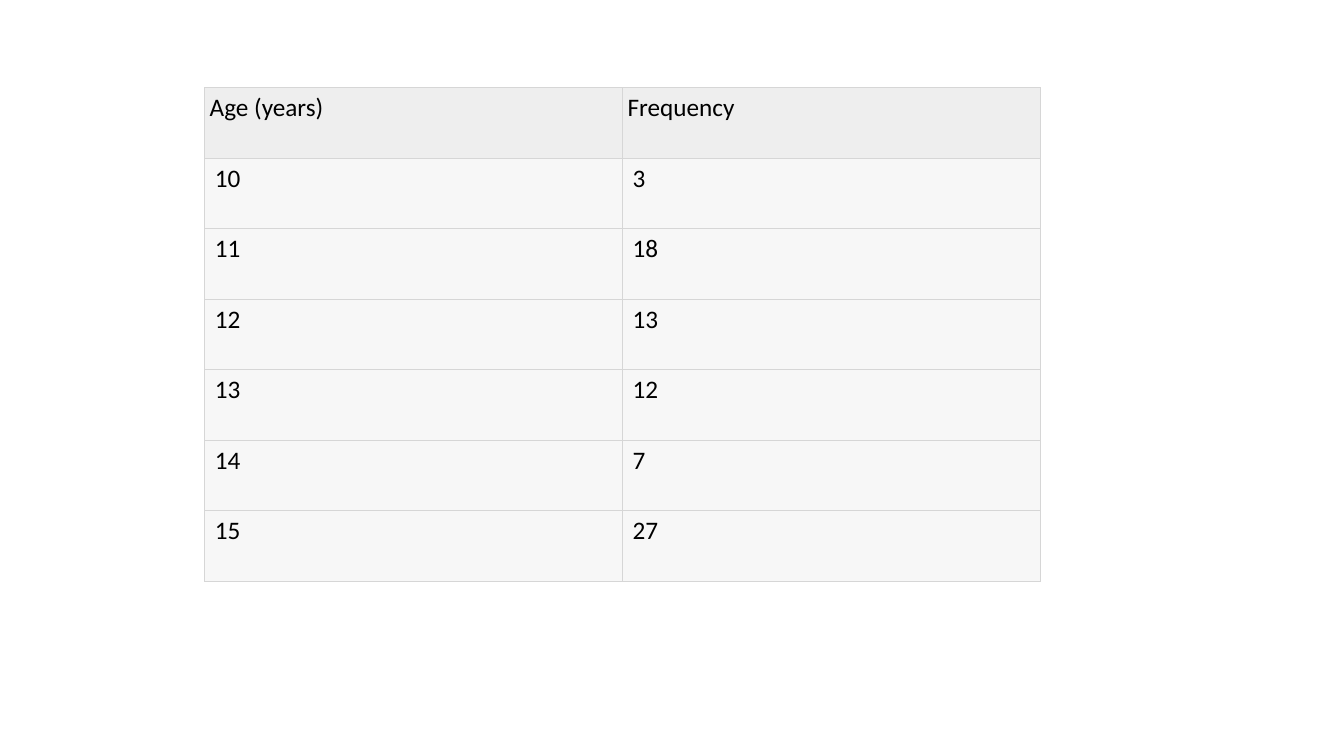
from lxml import etree
from pptx import Presentation
from pptx import util as u
from pptx.dml.color import RGBColor
from pptx.oxml.ns import qn

WIDE, HIGH = 13.33, 7.5
HUES = {"head": "EEEEEE", "body": "F7F7F7", "rule": "D6D6D6", "text": "000000"}
ROWS = [
    ("Age (years)", "Frequency"),
    ("10", "3"),
    ("11", "18"),
    ("12", "13"),
    ("13", "12"),
    ("14", "7"),
    ("15", "27"),
]
# Table frame in inches, split into equal columns and rows
LEFT, TOP, COL, ROW = 2.03, 0.87, 4.145, 0.7


def hue(name):
    return RGBColor.from_string(HUES[name])


def border(cell):
    """Draw a thin rule on all four sides; rules come before the fill."""
    props = cell._tc.get_or_add_tcPr()
    for spot, side in enumerate(("lnL", "lnR", "lnT", "lnB")):
        line = etree.Element(qn("a:" + side), w=str(u.Pt(0.75)))
        fill = etree.SubElement(line, qn("a:solidFill"))
        etree.SubElement(fill, qn("a:srgbClr"), val=HUES["rule"])
        props.insert(spot, line)


def write(cell, words, head):
    # Insets
    side = u.Inches(0.05 if head else 0.1)
    cell.margin_left = cell.margin_right = side
    cell.margin_top = cell.margin_bottom = u.Inches(0.05)
    # Fill and rules
    cell.fill.solid()
    cell.fill.fore_color.rgb = hue("head" if head else "body")
    border(cell)
    # Text
    run = cell.text_frame.paragraphs[0].add_run()
    run.text = words
    run.font.name = "Calibri"
    run.font.size = u.Pt(18)
    run.font.bold = False
    run.font.color.rgb = hue("text")


def grid(slide, rows):
    wide, high = len(rows[0]), len(rows)
    frame = slide.shapes.add_table(
        high, wide, u.Inches(LEFT), u.Inches(TOP),
        u.Inches(COL * wide), u.Inches(ROW * high))
    table = frame.table
    table.horz_banding = False
    for r, row in enumerate(rows):
        for c, words in enumerate(row):
            write(table.cell(r, c), words, r == 0)


def main():
    deck = Presentation()
    deck.slide_width, deck.slide_height = u.Inches(WIDE), u.Inches(HIGH)
    slide = deck.slides.add_slide(deck.slide_layouts[6])
    grid(slide, ROWS)
    deck.save("out.pptx")


if __name__ == "__main__":
    main()
